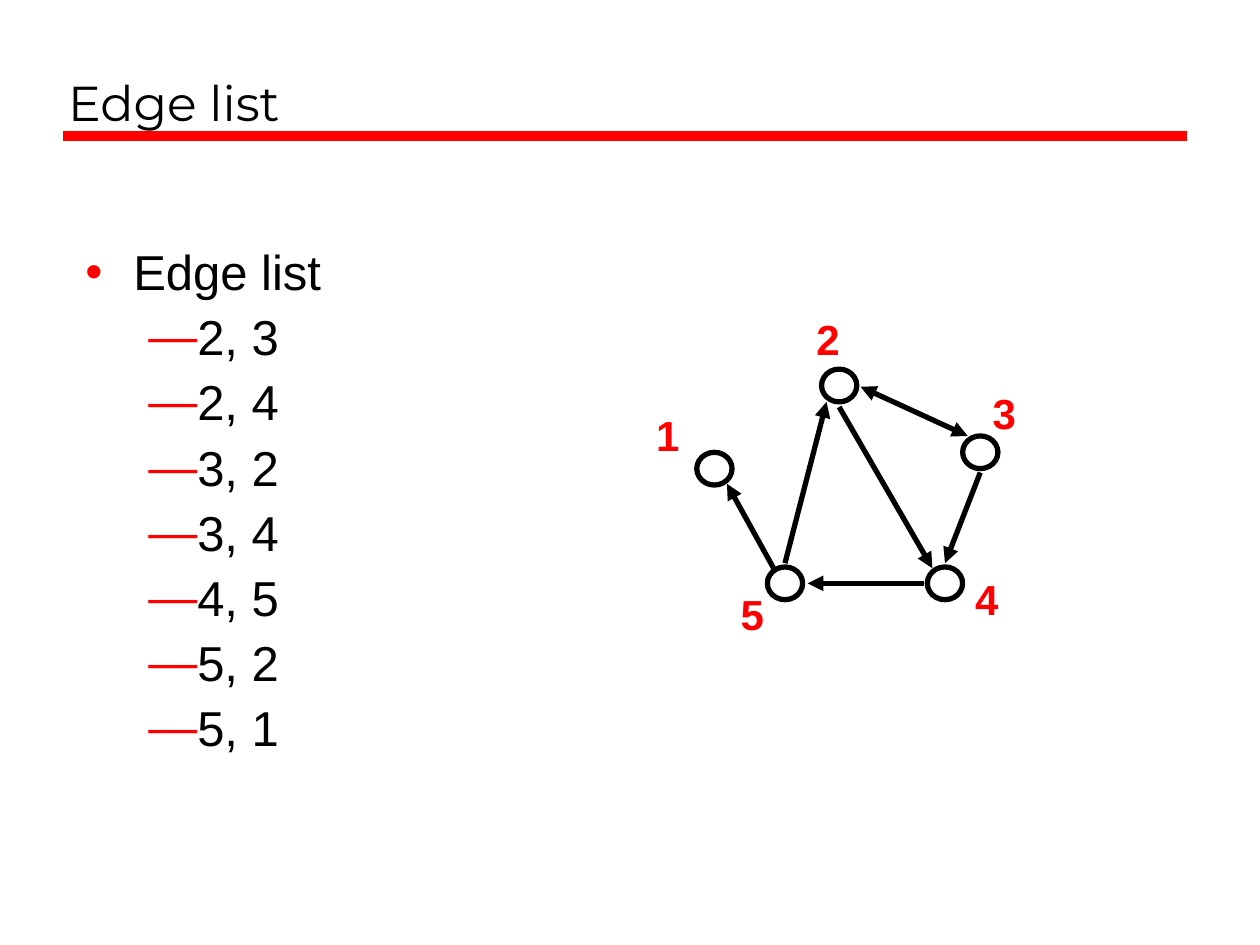
from lxml.etree import SubElement
from pptx import Presentation
from pptx.dml.color import RGBColor
from pptx.enum.shapes import MSO_CONNECTOR, MSO_SHAPE
from pptx.enum.text import MSO_ANCHOR, PP_ALIGN
from pptx.oxml.ns import qn
from pptx.util import Inches, Pt

INK = {"red": "FF0000", "black": "000000"}
NODES = {
    "2": ((6.52, 2.93), (6.38, 2.44)),
    "3": ((7.64, 3.46), (7.78, 3.03)),
    "4": ((7.36, 4.5), (7.64, 4.5)),
    "5": ((6.09, 4.5), (5.78, 4.62)),
    "1": ((5.53, 3.59), (5.11, 3.2)),
}
EDGES = [
    ((6.83, 3.07), (7.68, 3.46), ("head", "tail")),
    ((7.78, 3.75), (7.5, 4.47), ("tail",)),
    ((7.33, 4.63), (6.41, 4.63), ("tail",)),
    ((6.66, 3.23), (7.4, 4.51), ("tail",)),
    ((6.23, 4.47), (6.56, 3.19), ("tail",)),
    ((6.14, 4.51), (5.77, 3.84), ("tail",)),
]
PAIRS = ["2, 3", "2, 4", "3, 2", "3, 4", "4, 5", "5, 2", "5, 1"]


def ink(name):
    """Return a colour by name."""
    return RGBColor.from_string(INK[name])


def write(para, text, size, color="black", face="Arial", bold=False):
    """Add one styled run."""
    run = para.add_run()
    run.text = text
    font = run.font
    font.size, font.name, font.bold = Pt(size), face, bold
    font.color.rgb = ink(color)


def add_title(slide, text):
    """Place and fill the title."""
    title = slide.shapes.title
    title.left, title.top = Inches(0.44), Inches(0.17)
    title.width, title.height = Inches(8.97), Inches(0.92)
    frame = title.text_frame
    frame.vertical_anchor = MSO_ANCHOR.BOTTOM
    frame.margin_left, frame.margin_bottom = Inches(0.1), Inches(0.05)
    para = frame.paragraphs[0]
    para.alignment = PP_ALIGN.LEFT
    write(para, text, 28, face="Montserrat")


def add_line(slide, start, end, color, width, ends=()):
    """Draw a line with optional arrowheads."""
    points = [Inches(v) for v in (*start, *end)]
    line = slide.shapes.add_connector(MSO_CONNECTOR.STRAIGHT, *points)
    line.line.color.rgb = ink(color)
    line.line.width = Pt(width)
    for end in ends:
        SubElement(line.line._get_or_add_ln(), qn(f"a:{end}End"), type="triangle")
    SubElement(line._element.spPr, qn("a:effectLst"))


def set_bullet(para, mark, left, hang):
    """Give a paragraph a red bullet and a hanging indent."""
    props = para._p.get_or_add_pPr()
    props.set("marL", str(Inches(left)))
    props.set("indent", str(Inches(-hang)))
    color = SubElement(props, qn("a:buClr"))
    SubElement(color, qn("a:srgbClr"), val=INK["red"])
    SubElement(props, qn("a:buFont"), typeface="Arial")
    SubElement(props, qn("a:buChar"), char=mark)


def add_list(slide, head, items):
    """Write a heading bullet with dashed items below."""
    box = slide.shapes.add_textbox(Inches(0.58), Inches(1.92), Inches(6), Inches(5.58))
    frame = box.text_frame
    frame.word_wrap = True
    for i, text in enumerate([head, *items]):
        para = frame.add_paragraph() if i else frame.paragraphs[0]
        if i:
            para.level = 1
            set_bullet(para, "—", 0.81, 0.31)
            para.space_before = Pt(7)
        else:
            set_bullet(para, "•", 0.38, 0.38)
        para.line_spacing = 0.9
        write(para, text, 28)


def add_node(slide, spot):
    """Draw a hollow graph node."""
    left, top = map(Inches, spot)
    node = slide.shapes.add_shape(MSO_SHAPE.OVAL, left, top, Inches(0.28), Inches(0.26))
    node.shadow.inherit = False
    node.fill.background()
    node.line.color.rgb = ink("black")
    node.line.width = Pt(3)


def add_label(slide, text, spot):
    """Write a node number."""
    left, top = map(Inches, spot)
    box = slide.shapes.add_textbox(left, top, Inches(0.38), Inches(0.5))
    box.text_frame.word_wrap = False
    write(box.text_frame.paragraphs[0], text, 24, "red", bold=True)


def main():
    """Build the slide."""
    deck = Presentation()
    deck.slide_width, deck.slide_height = Inches(10), Inches(7.5)
    slide = deck.slides.add_slide(deck.slide_layouts[5])
    add_line(slide, (0.5, 1.08), (9.42, 1.08), "red", 6)
    add_title(slide, "Edge list")
    add_list(slide, "Edge list", PAIRS)
    for spot, _ in NODES.values():
        add_node(slide, spot)
    for start, end, ends in EDGES:
        add_line(slide, start, end, "black", 3, ends)
    for name, (_, spot) in sorted(NODES.items()):
        add_label(slide, name, spot)
    deck.save("out.pptx")


if __name__ == "__main__":
    main()
